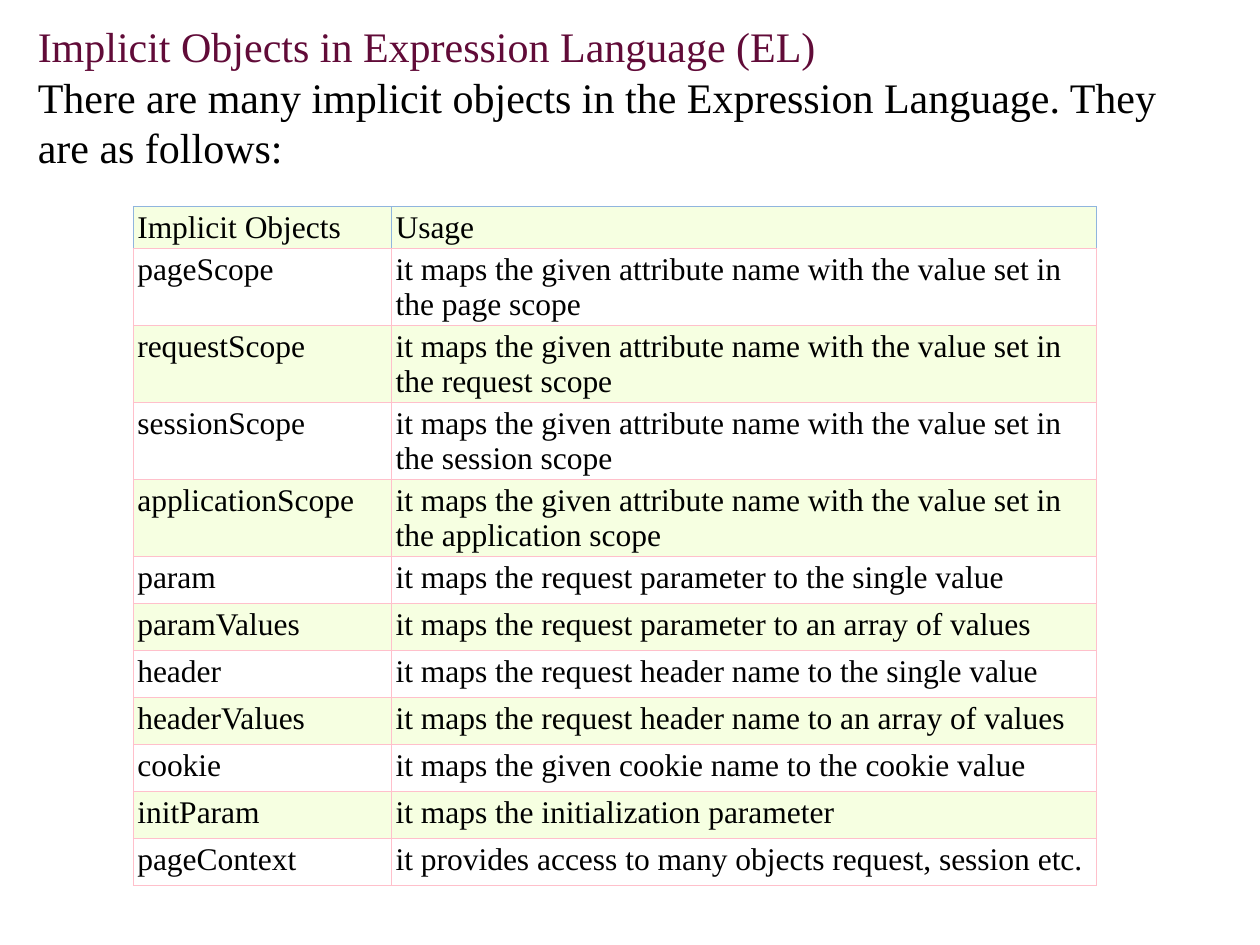
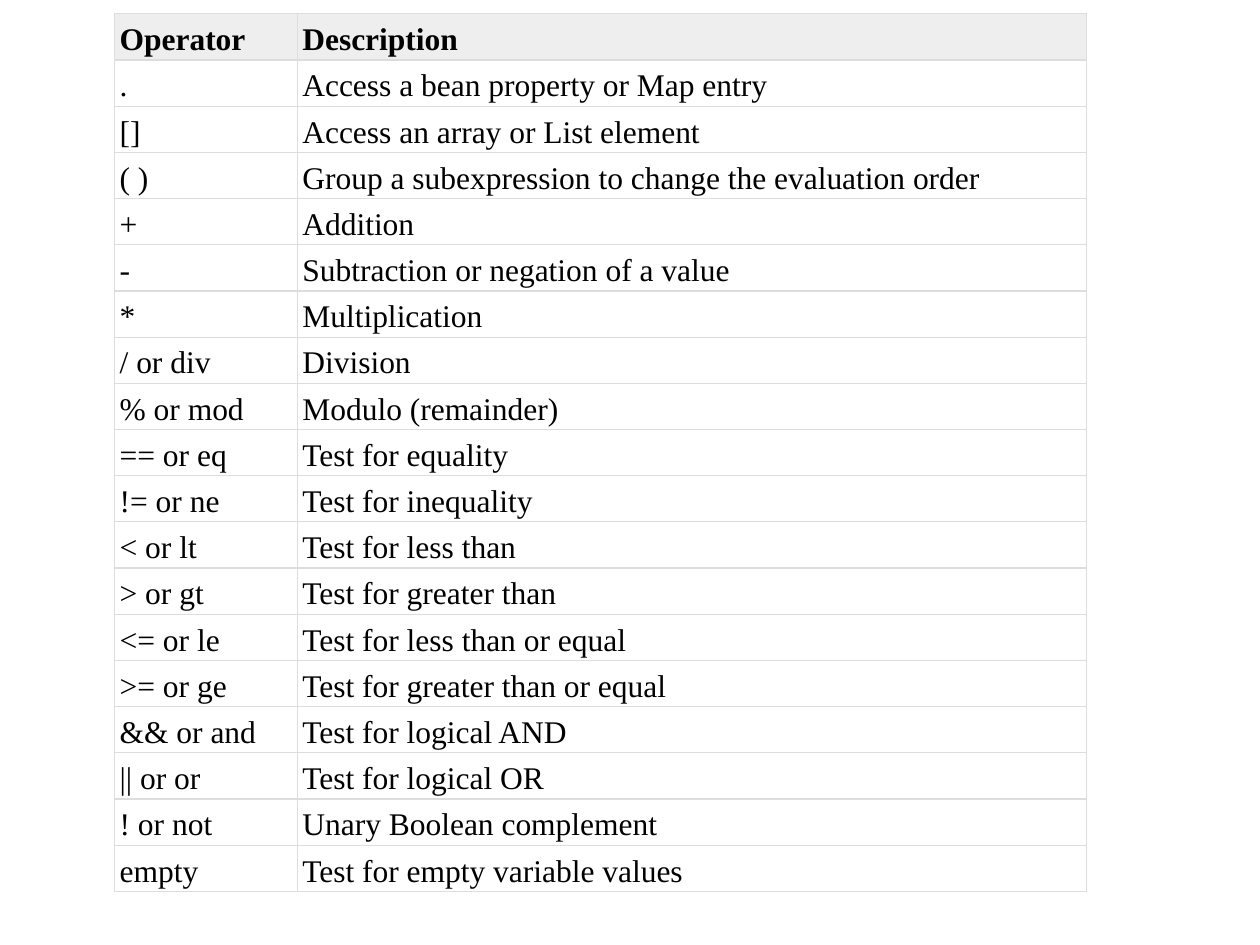
from lxml import etree
from pptx import Presentation
from pptx.dml.color import RGBColor
from pptx.enum import text
from pptx.oxml import ns
from pptx.util import Inches, Pt

FONT = "Times New Roman"
BLACK, WHITE, PLUM = "000000", "FFFFFF", "610B38"
LIME, PINK, BLUE = "F6FFE1", "FFC0CB", "90B5DE"
LIGHT_GRAY, RULE_GRAY = "EEEEEE", "DDDDDD"
TITLE_ONLY, BLANK = 5, 6
SCOPE_USAGE = "it maps the given attribute name with the value set in the {} scope"

IMPLICIT_OBJECTS = [
    ("Implicit Objects", "Usage"),
    *((f"{scope}Scope", SCOPE_USAGE.format(scope))
      for scope in ("page", "request", "session", "application")),
    ("param", "it maps the request parameter to the single value"),
    ("paramValues", "it maps the request parameter to an array of values"),
    ("header", "it maps the request header name to the single value"),
    ("headerValues", "it maps the request header name to an array of values"),
    ("cookie", "it maps the given cookie name to the cookie value"),
    ("initParam", "it maps the initialization parameter"),
    ("pageContext", "it provides access to many objects request, session etc."),
]

OPERATORS = [
    ("Operator", "Description"),
    (".", "Access a bean property or Map entry"),
    ("[]", "Access an array or List element"),
    ("( )", "Group a subexpression to change the evaluation order"),
    ("+", "Addition"),
    ("-", "Subtraction or negation of a value"),
    ("*", "Multiplication"),
    ("/ or div", "Division"),
    ("% or mod", "Modulo (remainder)"),
    ("== or eq", "Test for equality"),
    ("!= or ne", "Test for inequality"),
    ("< or lt", "Test for less than"),
    ("> or gt", "Test for greater than"),
    ("<= or le", "Test for less than or equal"),
    (">= or ge", "Test for greater than or equal"),
    ("&& or and", "Test for logical AND"),
    ("|| or or", "Test for logical OR"),
    ("! or not", "Unary Boolean complement"),
    ("empty", "Test for empty variable values"),
]


def rgb(value):
    """Turn a hex string into a colour."""
    return RGBColor.from_string(value)


def add_run(paragraph, words, size, color=BLACK, bold=False):
    """Add one formatted run to a paragraph."""
    run = paragraph.add_run()
    run.text = words
    run.font.name, run.font.size, run.font.bold = FONT, Pt(size), bold
    run.font.color.rgb = rgb(color)


def set_borders(cell, edge_colors):
    """Draw thin cell borders, coloured left, right, top and bottom."""
    properties = cell._tc.get_or_add_tcPr()
    for position, (edge, color) in enumerate(zip("LRTB", edge_colors)):
        line = etree.Element(ns.qn(f"a:ln{edge}"), w=str(Pt(0.75)))
        fill = etree.SubElement(line, ns.qn("a:solidFill"))
        etree.SubElement(fill, ns.qn("a:srgbClr"), val=color)
        properties.insert(position, line)


def fill_cell(cell, words, fill, edge_colors, insets, bold, line_spacing):
    """Write and format one table cell with side, top and bottom insets."""
    side, top, bottom = insets
    cell.margin_left = cell.margin_right = Inches(side)
    cell.margin_top, cell.margin_bottom = Inches(top), Inches(bottom)
    if fill:
        cell.fill.solid()
        cell.fill.fore_color.rgb = rgb(fill)
    else:
        cell.fill.background()
    set_borders(cell, edge_colors)
    paragraph = cell.text_frame.paragraphs[0]
    paragraph.line_spacing = Pt(line_spacing)
    add_run(paragraph, words, 18, bold=bold)


def add_grid(slide, rows, left, top, widths, heights, fills, border,
             header_border, insets, line_spacing, bold_header=False):
    """Add a two-column table whose first row is a header."""
    frame = slide.shapes.add_table(
        len(rows), len(widths), Inches(left), Inches(top),
        Inches(sum(widths)), Inches(sum(heights)))
    table = frame.table
    table.first_row = table.horz_banding = False
    for column, width in zip(table.columns, widths):
        column.width = Inches(width)
    for index, (row, height) in enumerate(zip(table.rows, heights)):
        row.height = Inches(height)
        header = index == 0
        edges = [header_border] * 3 + [border] if header else [border] * 4
        for cell, words in zip(row.cells, rows[index]):
            fill_cell(cell, words, fills[index], edges, insets,
                      header and bold_header, line_spacing)


def add_heading(slide, lines):
    """Place the title with its introduction in the title placeholder."""
    title = slide.shapes.title
    title.left, title.top = Inches(0.2), Inches(0.11)
    title.width, title.height = Inches(9.29), Inches(1.31)
    title.fill.solid()
    title.fill.fore_color.rgb = rgb(WHITE)
    frame = title.text_frame
    frame.word_wrap = True
    frame.auto_size = text.MSO_AUTO_SIZE.SHAPE_TO_FIT_TEXT
    frame.vertical_anchor = text.MSO_ANCHOR.MIDDLE
    for index, (words, color) in enumerate(lines):
        paragraph = frame.add_paragraph() if index else frame.paragraphs[0]
        paragraph.alignment = text.PP_ALIGN.LEFT
        paragraph.line_spacing = 1.0
        paragraph.space_before = Pt(0)
        add_run(paragraph, words, 24, color)


def add_implicit_objects(presentation):
    """Build the slide on implicit objects."""
    slide = presentation.slides.add_slide(presentation.slide_layouts[TITLE_ONLY])
    count = len(IMPLICIT_OBJECTS)
    single_rows = count - 5
    add_grid(slide, IMPLICIT_OBJECTS, 1.06, 1.64, (2.05, 5.59),
             [0.33] + [0.61] * 4 + [2.61 / single_rows] * single_rows,
             [WHITE if index % 2 else LIME for index in range(count)],
             PINK, BLUE, (0.03, 0.03, 0.03), 19.8)
    add_heading(slide, [
        ("Implicit Objects in Expression Language (EL)", PLUM),
        ("There are many implicit objects in the Expression Language. "
         "They are as follows:", BLACK),
    ])


def add_operators(presentation):
    """Build the slide on operators."""
    slide = presentation.slides.add_slide(presentation.slide_layouts[BLANK])
    count = len(OPERATORS)
    add_grid(slide, OPERATORS, 0.91, 0.11, (1.45, 6.26),
             [6.97 / count] * count,
             [LIGHT_GRAY] + [None] * (count - 1), RULE_GRAY, RULE_GRAY,
             (0.04, 0.06, 0.02), 20.6, bold_header=True)


def main():
    """Build and save the presentation."""
    presentation = Presentation()
    presentation.slide_width, presentation.slide_height = Inches(10), Inches(7.5)
    add_implicit_objects(presentation)
    add_operators(presentation)
    presentation.save("out.pptx")


if __name__ == "__main__":
    main()
